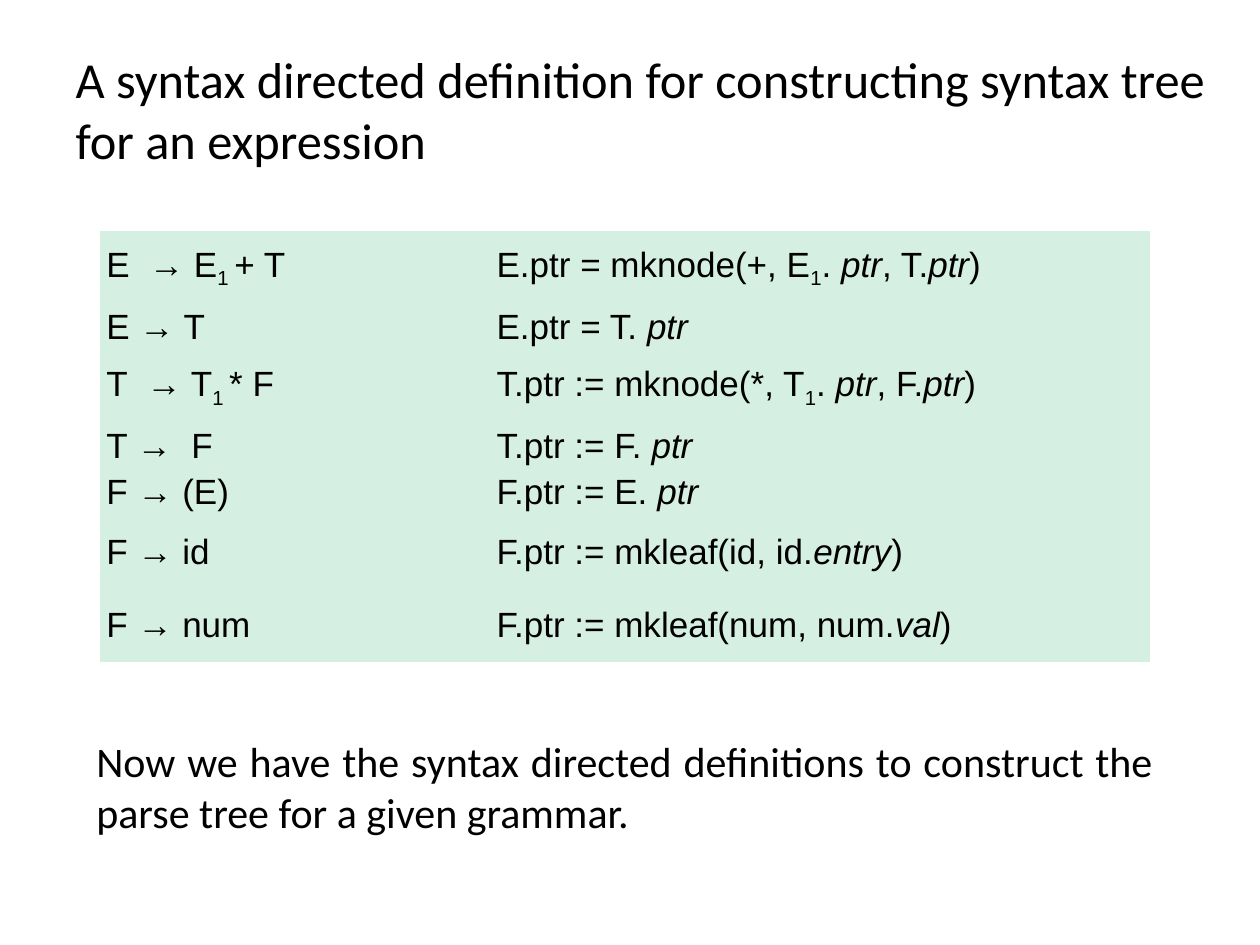
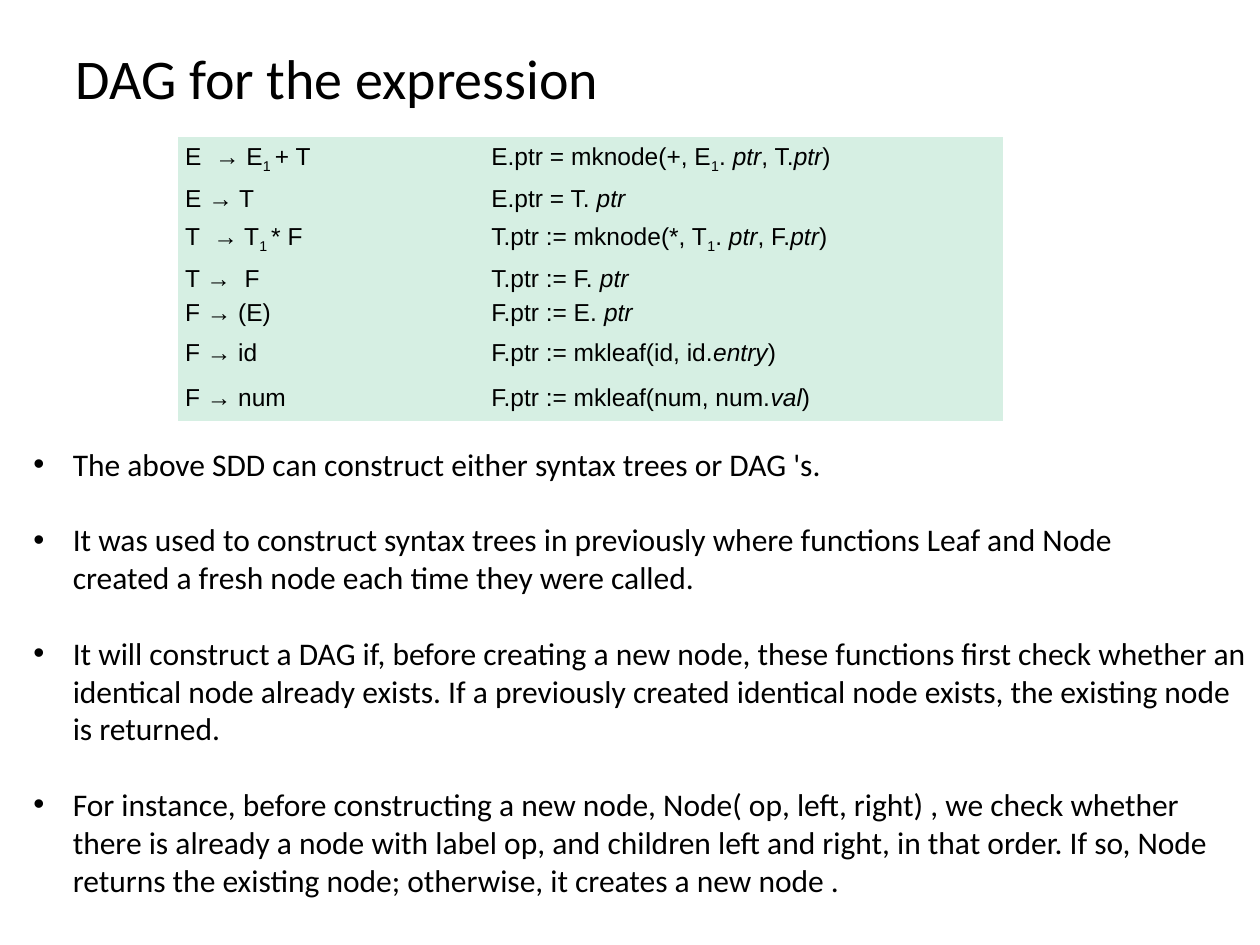
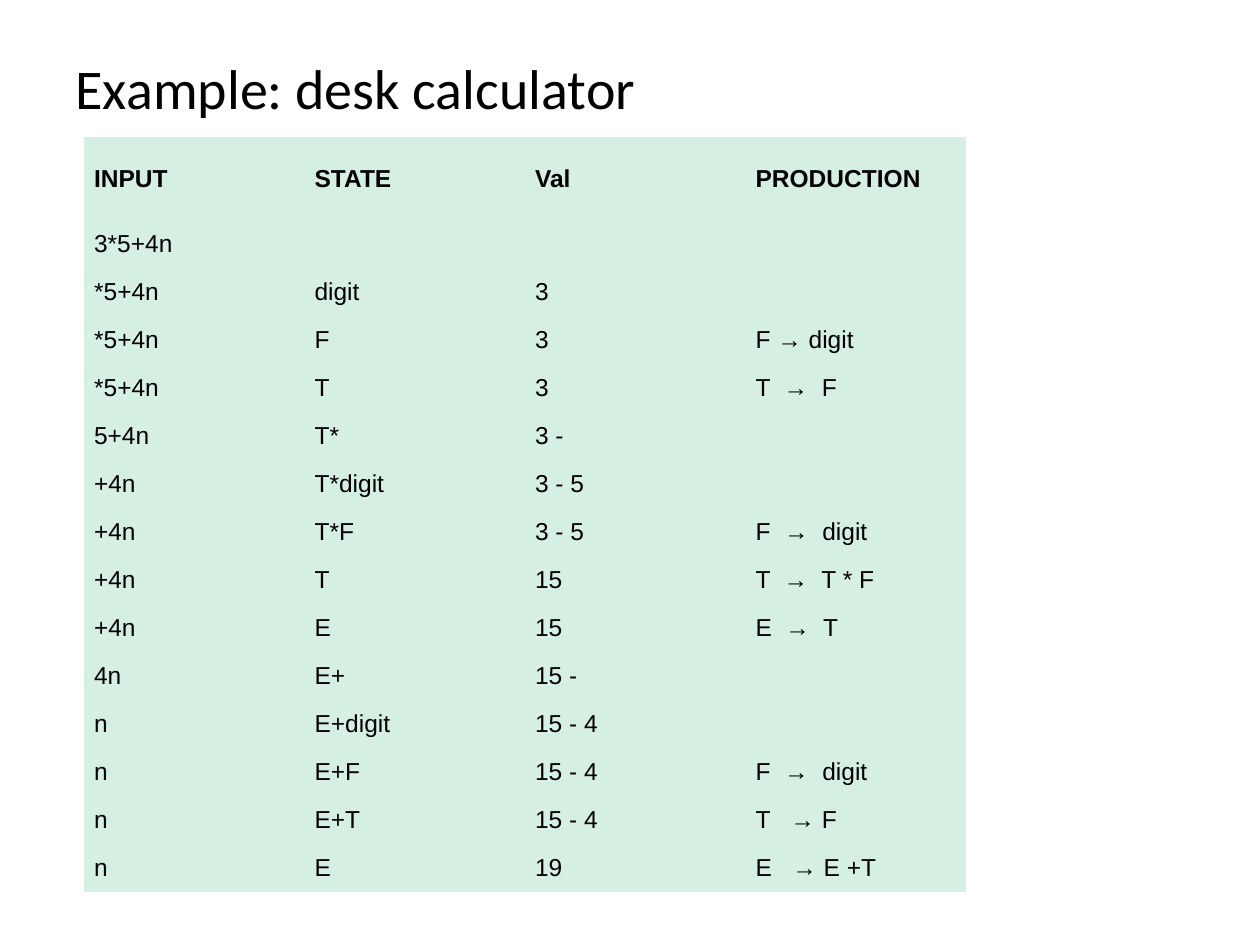
from lxml.etree import SubElement
from pptx import Presentation
from pptx.dml.color import RGBColor
from pptx.enum.text import MSO_ANCHOR as ANCHOR, MSO_AUTO_SIZE as AUTO, PP_ALIGN as ALIGN
from pptx.oxml.ns import qn
from pptx.util import Pt

BLACK, MINT = "000000", "D6EFE3"
NO_STYLE = "{2D5ABB26-0587-4C30-8999-92F81FD0307C}"


def write(p, text, size=18, font="Calibri", color=BLACK, bold=False):
    """Add runs split at "|"; a leading "/" means italic, "_" subscript, and "\n" breaks the line."""
    for n, line in enumerate(text.split("\n")):
        if n:
            p.add_line_break()
        for piece in line.split("|"):
            r = p.add_run()
            r.text = piece.lstrip("/_")
            r.font.size, r.font.name, r.font.bold = Pt(size), font, bold
            r.font.color.rgb = RGBColor.from_string(color)
            if piece.startswith("/"):
                r.font.italic = True
            if piece.startswith("_"):
                r.font._element.set("baseline", "-25000")


def add_grid(s, cells, left, top, widths, heights, size, inset, header=False):
    gf = s.shapes.add_table(len(cells), len(widths), Pt(left), Pt(top), Pt(sum(widths)), Pt(sum(heights)))
    for style in gf.element.iter(qn("a:tableStyleId")):
        style.text = NO_STYLE
    table = gf.table
    table.first_row = table.horz_banding = False
    for column, width in zip(table.columns, widths):
        column.width = Pt(width)
    for i, (row, height) in enumerate(zip(table.rows, heights)):
        row.height = Pt(height)
        for cell, text in zip(row.cells, cells[i]):
            cell.fill.solid()
            cell.fill.fore_color.rgb = RGBColor.from_string(MINT)
            cell.vertical_anchor = ANCHOR.MIDDLE
            cell.margin_left = cell.margin_right = Pt(inset)
            cell.margin_top = cell.margin_bottom = Pt(inset / 2)
            p = cell.text_frame.paragraphs[0]
            p.alignment = ALIGN.JUSTIFY
            write(p, text, size=size, font="Arial", bold=header and i == 0)


prs = Presentation()
prs.slide_width, prs.slide_height = Pt(720), Pt(540)

# Titles: text, width, height, size
titles = [
    ("A syntax directed definition for constructing syntax tree\nfor an expression", 666, 81, 28.8),
    ("DAG for the expression", 648, 45, 32),
    ("Example: desk calculator", 648, 56, 32),
]
for text, width, height, size in titles:
    s = prs.slides.add_slide(prs.slide_layouts[5])
    title = s.shapes.title
    title.left, title.top, title.width, title.height = Pt(36), Pt(21.6), Pt(width), Pt(height)
    tf = title.text_frame
    tf.auto_size, tf.vertical_anchor = AUTO.NONE, ANCHOR.MIDDLE
    tf.paragraphs[0].alignment = ALIGN.LEFT
    write(tf.paragraphs[0], text, size=size)
definition, dag, calculator = prs.slides

# Grammar rules, shown at two sizes
rules = [
    ("E  → E|_1 |+ T", "E.ptr = mknode(+, E|_1|. |/ptr|, T.|/ptr|)"),
    ("E → T", "E.ptr = T. |/ptr"),
    ("T  → T|_1 |* F", "T.ptr := mknode(*, T|_1|. |/ptr|, F.|/ptr|)"),
    ("T →  F", "T.ptr := F. |/ptr"),
    ("F → (E)", "F.ptr := E. |/ptr"),
    ("F → id", "F.ptr := mkleaf(id, id.|/entry|)"),
    ("F → num", "F.ptr := mkleaf(num, num.|/val|)"),
]
tall_rows = (0, 2, 5, 6)
for s, left, top, widths, tall, short, size in [
    (definition, 57, 132, (223, 377), 42, 24, 20),
    (dag, 102, 78, (175, 296), 26, 15, 14),
]:
    heights = [tall if i in tall_rows else short for i in range(len(rules))]
    add_grid(s, rules, left, top, widths, heights, size, inset=3.8)

# Closing remark
tf = definition.shapes.add_textbox(Pt(48), Pt(417), Pt(618), Pt(65.4)).text_frame
tf.word_wrap = True
tf.paragraphs[0].alignment = ALIGN.JUSTIFY
write(tf.paragraphs[0], "Now we have the syntax directed definitions to construct the parse tree "
      "for a given grammar.", size=24)

# DAG notes
notes = [
    "The above SDD can construct either syntax trees or DAG 's.",
    "It was used to construct syntax trees in previously where functions Leaf and Node\n"
    "created a fresh node each time they were called.",
    "It will construct a DAG if, before creating a new node, these functions first check whether an "
    "identical node already exists. If a previously created identical node exists, the existing node "
    "is returned.",
    "For instance, before constructing a new node, Node( op, left, right) , we check whether there is "
    "already a node with label op, and children left and right, in that order. If so, Node returns the "
    "existing node; otherwise, it creates a new node .",
]
tf = dag.shapes.add_textbox(Pt(12), Pt(250.6), Pt(708), Pt(269)).text_frame
tf.word_wrap = True
for i, note in enumerate(notes):
    p = tf.add_paragraph() if i else tf.paragraphs[0]
    if i:
        p.space_before = Pt(21.6)
    pPr = p._p.get_or_add_pPr()
    pPr.set("marL", str(Pt(22.5)))
    pPr.set("indent", str(Pt(-22.5)))
    SubElement(pPr, qn("a:buFont"), typeface="Arial")
    SubElement(pPr, qn("a:buChar"), char="•")
    write(p, note)

# Parser moves of the desk calculator
moves = [
    ("INPUT", "STATE", "Val", "PRODUCTION"),
    ("3*5+4n", "", "", ""),
    ("*5+4n", "digit", "3", ""),
    ("*5+4n", "F", "3", "F → digit"),
    ("*5+4n", "T", "3", "T  →  F"),
    ("5+4n", "T*", "3 -", ""),
    ("+4n", "T*digit", "3 - 5", ""),
    ("+4n", "T*F", "3 - 5", "F  →  digit"),
    ("+4n", "T", "15", "T  →  T * F"),
    ("+4n", "E", "15", "E  →  T"),
    ("4n", "E+", "15 -", ""),
    ("n", "E+digit", "15 - 4", ""),
    ("n", "E+F", "15 - 4", "F  →  digit"),
    ("n", "E+T", "15 - 4", "T   → F"),
    ("n", "E", "19", "E   → E +T"),
]
add_grid(calculator, moves, 48, 78, [126] * 4, [48] + [27.43] * (len(moves) - 1), 14,
         inset=5.76, header=True)

prs.save("out.pptx")
